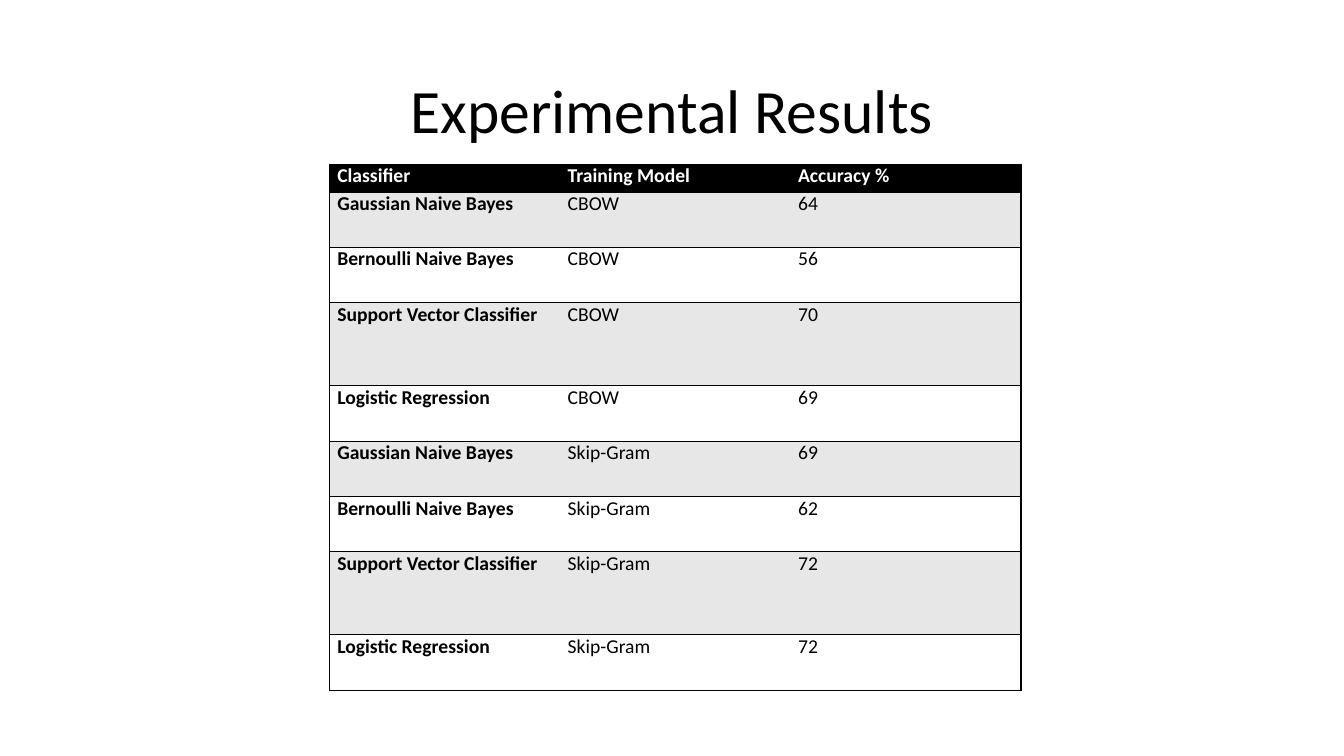
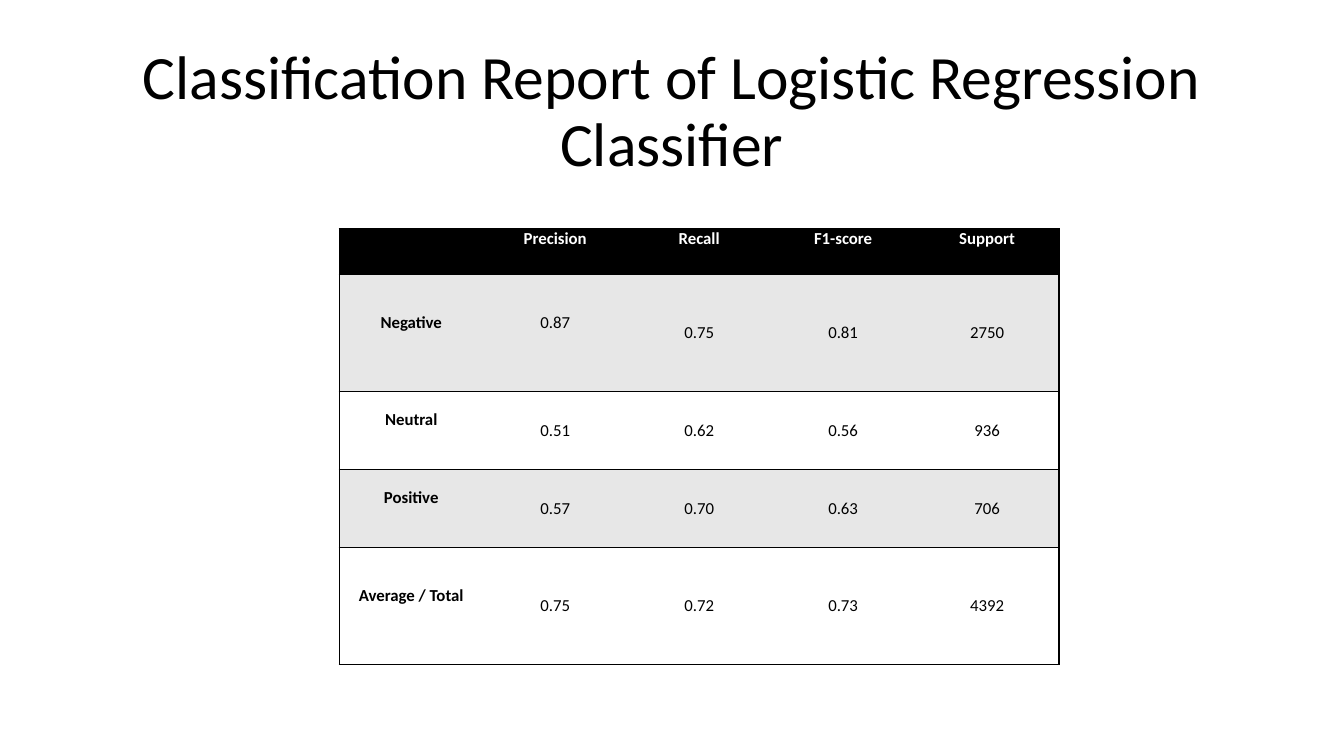
from lxml.etree import SubElement
from pptx import Presentation
from pptx.dml.color import RGBColor
from pptx.enum.text import MSO_ANCHOR as Anchor, PP_ALIGN as Align
from pptx.oxml.ns import qn
from pptx.util import Cm, Pt

BLACK = RGBColor(0x00, 0x00, 0x00)
WHITE = RGBColor(0xFF, 0xFF, 0xFF)
GREY = RGBColor(0xE7, 0xE7, 0xE7)
FONT = "Calibri"
TITLE_BOX = Cm(2.33), Cm(1.01), Cm(29.21), Cm(3.68)
SIDE_MARGIN = Cm(0.19)
RAISED_MARGIN = Cm(0.52)

CLASSIFIERS = ["Gaussian Naive Bayes", "Bernoulli Naive Bayes",
               "Support Vector Classifier", "Logistic Regression"]
ACCURACY = {"CBOW": [64, 56, 70, 69], "Skip-Gram": [69, 62, 72, 72]}
REPORT = [
    ["", "Precision", "Recall", "F1-score", "Support"],
    ["Negative", "0.87", "0.75", "0.81", "2750"],
    ["Neutral", "0.51", "0.62", "0.56", "936"],
    ["Positive", "0.57", "0.70", "0.63", "706"],
    ["Average / Total", "0.75", "0.72", "0.73", "4392"],
]


def style_text(paragraph, size, color, align, bold=False):
    paragraph.alignment = align
    for run in paragraph.runs:
        font = run.font
        font.name, font.size, font.bold = FONT, Pt(size), bold
        font.color.rgb = color


def add_titled_slide(presentation, title):
    slide = presentation.slides.add_slide(presentation.slide_layouts[6])
    frame = slide.shapes.add_textbox(*TITLE_BOX).text_frame
    frame.word_wrap = True
    frame.vertical_anchor = Anchor.MIDDLE
    frame.text = title
    frame.paragraphs[0].line_spacing = 0.9
    style_text(frame.paragraphs[0], 44, BLACK, Align.CENTER)
    return slide


def set_borders(cell, drawn_sides):
    """Draw thin black lines on the given sides and clear the others."""
    properties = cell._tc.get_or_add_tcPr()
    for side in "LRTB":
        line = SubElement(properties, qn(f"a:ln{side}"), w=str(Pt(1)))
        if side in drawn_sides:
            fill = SubElement(line, qn("a:solidFill"))
            SubElement(fill, qn("a:srgbClr"), val=str(BLACK))
        else:
            SubElement(line, qn("a:noFill"))


def add_ruled_table(slide, box, rows, row_heights, size, align):
    """Add a table with a black header, grey bands and horizontal rules.

    The row heights are relative shares of the height of the box.
    """
    left, top, width, height = box
    column_count = len(rows[0])
    table = slide.shapes.add_table(len(rows), column_count, *box).table
    table.first_row = table.horz_banding = False
    for column in table.columns:
        column.width = width // column_count
    for row, share in zip(table.rows, row_heights):
        row.height = int(height * share / sum(row_heights))

    for i, values in enumerate(rows):
        for j, value in enumerate(values):
            cell = table.cell(i, j)
            is_first, is_last = j == 0, j == column_count - 1
            set_borders(cell, "TB" + "L" * is_first + "R" * is_last)
            cell.fill.solid()
            cell.fill.fore_color.rgb = BLACK if i == 0 else GREY if i % 2 else WHITE
            cell.margin_left = cell.margin_right = SIDE_MARGIN
            cell.margin_top = cell.margin_bottom = 0
            cell.text_frame.text = str(value)
            style_text(cell.text_frame.paragraphs[0], size,
                       WHITE if i == 0 else BLACK, align, i == 0 or is_first)
    return table


def add_results_slide(presentation):
    slide = add_titled_slide(presentation, "Experimental Results")
    rows = [["Classifier", "Training Model", "Accuracy %"]]
    for model, scores in ACCURACY.items():
        rows += [[name, model, score] for name, score in zip(CLASSIFIERS, scores)]
    box = Cm(8.31), Cm(4.14), Cm(17.42), Cm(13.26)
    add_ruled_table(slide, box, rows, [1] + [2, 2, 3, 2] * 2, 14, Align.LEFT)


def add_report_slide(presentation):
    slide = add_titled_slide(
        presentation, "Classification Report of Logistic Regression Classifier")
    box = Cm(8.55), Cm(5.77), Cm(18.14), Cm(10.97)
    table = add_ruled_table(slide, box, REPORT, [1.17, 3, 2, 2, 3], 12, Align.CENTER)
    for i in range(1, len(REPORT)):
        for j in range(len(REPORT[0])):
            cell = table.cell(i, j)
            cell.vertical_anchor = Anchor.MIDDLE
            if j == 0 or (i, j) == (1, 1):
                cell.margin_bottom = RAISED_MARGIN


def main():
    presentation = Presentation()
    presentation.slide_width, presentation.slide_height = Cm(33.87), Cm(19.05)
    add_results_slide(presentation)
    add_report_slide(presentation)
    presentation.save("out.pptx")


if __name__ == "__main__":
    main()
